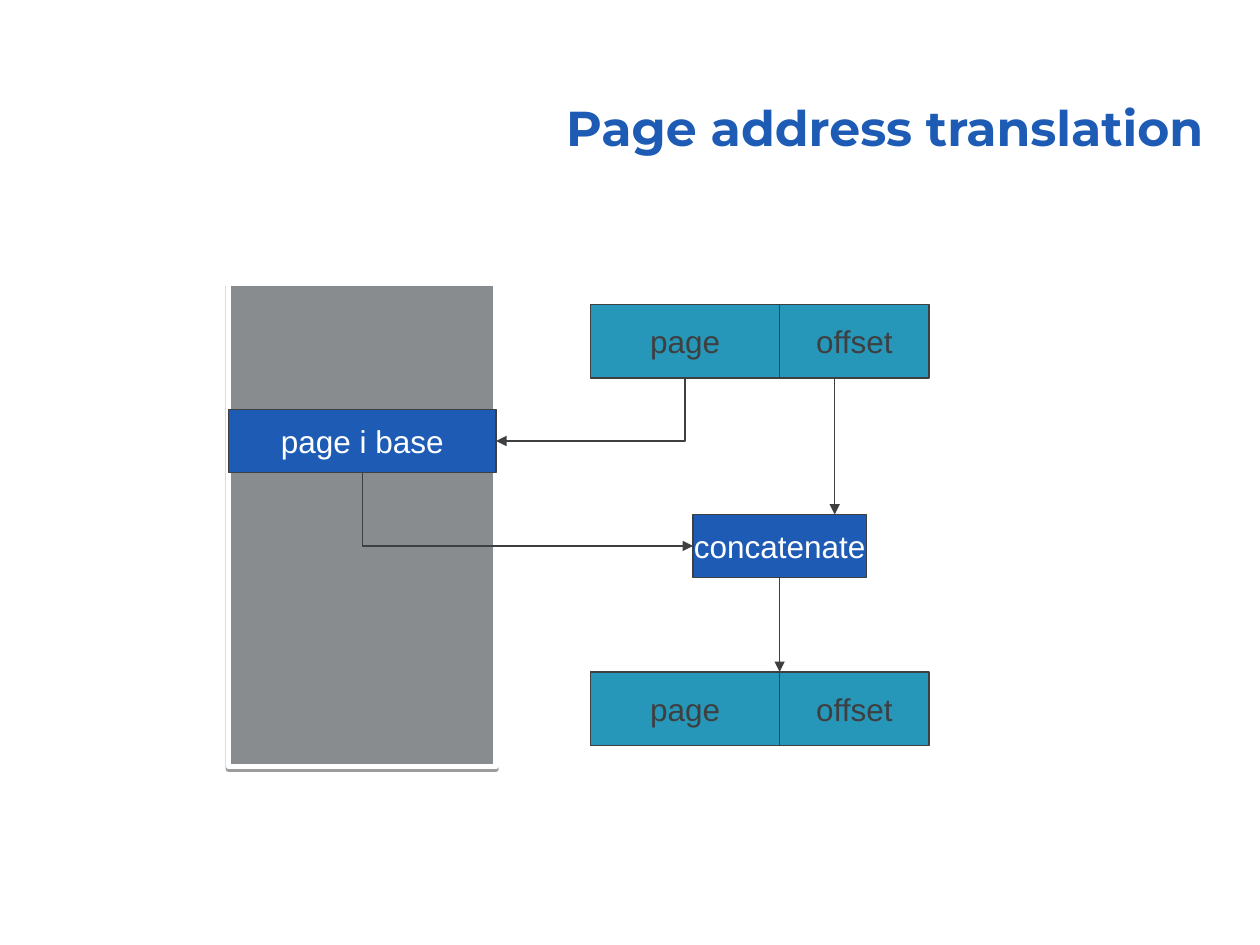
from lxml import etree
from pptx import Presentation
from pptx.dml.color import RGBColor
from pptx.enum.shapes import MSO_CONNECTOR, MSO_SHAPE
from pptx.enum.text import MSO_ANCHOR, PP_ALIGN
from pptx.oxml.ns import qn
from pptx.util import Inches, Pt

RECT = MSO_SHAPE.RECTANGLE
STRAIGHT, ELBOW = MSO_CONNECTOR.STRAIGHT, MSO_CONNECTOR.ELBOW
MIDDLE, BOTTOM = MSO_ANCHOR.MIDDLE, MSO_ANCHOR.BOTTOM
CENTER, RIGHT = PP_ALIGN.CENTER, PP_ALIGN.RIGHT

BLUE = RGBColor(0x1E, 0x5B, 0xB4)
TEAL = RGBColor(0x27, 0x97, 0xB9)
GRAY = RGBColor(0x88, 0x8C, 0x8F)
INK = RGBColor(0x3D, 0x3F, 0x41)
WHITE = RGBColor(0xFF, 0xFF, 0xFF)

COLS, ROWS = 160, 90


def add(node, tag, **attrs):
    return etree.SubElement(node, qn(tag), attrs)


class Board:
    """Draws on one slide, with lengths in columns and rows of its grid."""

    head = {"name": "Montserrat", "size": Pt(28), "bold": True}
    body = {"name": "Arial", "size": Pt(18)}

    def __init__(self, deck):
        self.slide = deck.slides.add_slide(deck.slide_layouts[5])
        self.col = deck.slide_width / COLS
        self.row = deck.slide_height / ROWS

    def place(self, *grid):
        units = (self.col, self.row) * 2
        return [round(n * unit) for n, unit in zip(grid, units)]

    def label(self, shape, text, style, color, align, anchor):
        frame = shape.text_frame
        frame.text = text
        frame.vertical_anchor = anchor
        para = frame.paragraphs[0]
        para.alignment = align
        for key, value in style.items():
            setattr(para.font, key, value)
        para.font.color.rgb = color
        return para

    def title(self, text, *grid):
        shape = self.slide.shapes.title
        names = ("left", "top", "width", "height")
        for key, value in zip(names, self.place(*grid)):
            setattr(shape, key, value)
        para = self.label(shape, text, self.head, BLUE, RIGHT, BOTTOM)
        para.line_spacing = 0.9

    def box(self, grid, fill, text="", color=INK, line=INK, width=0.75):
        shape = self.slide.shapes.add_shape(RECT, *self.place(*grid))
        shape.shadow.inherit = False
        shape.fill.solid()
        shape.fill.fore_color.rgb = fill
        shape.line.color.rgb = line
        shape.line.width = Pt(width)
        if text:
            self.label(shape, text, self.body, color, CENTER, MIDDLE)
            shape.text_frame.word_wrap = False
        return shape

    def table(self, *grid):
        """Draw the page table with its drop shadow."""
        shape = self.box(grid, GRAY, line=WHITE, width=3)
        effects = shape._element.spPr.find(qn("a:effectLst"))
        cast = add(effects, "a:outerShdw", dist=str(Pt(1.6)),
                   dir="5400000", rotWithShape="0")
        tint = add(cast, "a:srgbClr", val="000000")
        add(tint, "a:alpha", val="38000")

    def pair(self, top):
        """Draw an address as a page field beside an offset field."""
        self.box((75, top, 24, 7), TEAL, "page")
        self.box((99, top, 19, 7), TEAL, "offset")

    def link(self, kind, *ends):
        line = self.slide.shapes.add_connector(kind, *ends)
        line.line.color.rgb = INK
        line.line.width = Pt(0.75)
        props = line._element.spPr
        add(props.find(qn("a:ln")), "a:tailEnd", type="triangle")
        add(props, "a:effectLst")
        return line

    def drop(self, x, top, end):
        self.link(STRAIGHT, *self.place(x, top, x, end))

    def bend(self, *grid):
        """Link two points by going down first, then sideways."""
        x1, y1, x2, y2 = self.place(*grid)
        midx, midy = (x1 + x2) // 2, (y1 + y2) // 2
        # The frame is turned a quarter, so its width and height swap.
        halfw, halfh = (y2 - y1) // 2, abs(x2 - x1) // 2
        turn = 90
        if x2 > x1:
            turn, halfw = 270, -halfw
        line = self.link(ELBOW, midx - halfw, midy - halfh,
                         midx + halfw, midy + halfh)
        props = line._element.spPr
        props.find(qn("a:xfrm")).set("rot", str(turn * 60000))
        props.find(qn("a:prstGeom")).set("prst", "bentConnector2")


def main():
    deck = Presentation()
    deck.slide_width, deck.slide_height = Inches(10), Inches(7.5)
    board = Board(deck)
    board.title("Page address translation", 47, 6.4, 107.4, 9.2)
    for top in (29, 64):
        board.pair(top)
    board.table(29, 27, 34, 46)
    board.box((29, 39, 34, 6), BLUE, "page i base", WHITE)
    board.box((88, 49, 22, 6), BLUE, "concatenate", WHITE)
    board.drop(99, 55, 64)
    board.drop(106, 36, 49)
    board.bend(87, 36, 63, 42)
    board.bend(46, 45, 88, 52)
    deck.save("out.pptx")


if __name__ == "__main__":
    main()
